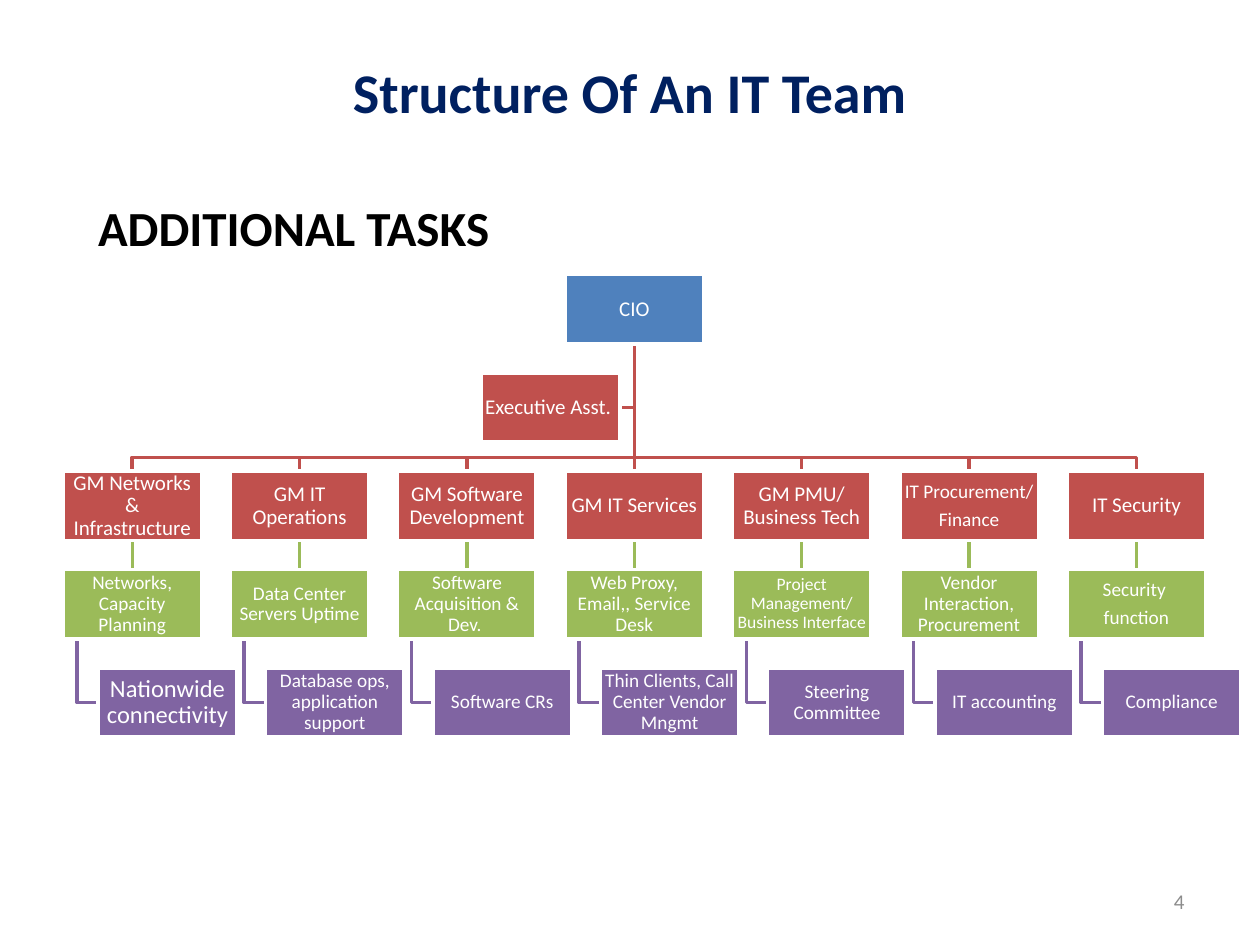
from lxml import etree
from pptx import Presentation
from pptx.dml.color import RGBColor
from pptx.enum.shapes import MSO_CONNECTOR as Link, MSO_SHAPE as Kind
from pptx.enum.text import MSO_ANCHOR as Anchor, PP_ALIGN as Align
from pptx.oxml.ns import qn
from pptx.util import Inches, Pt

BLUE, RED, GREEN, PURPLE = "4F81BD", "C0504D", "9BBB59", "8064A2"
WHITE = "FFFFFF"

# Grid of the chart
WIDE, HIGH = 1.1, 0.55
LEFT, STEP = 0.5, (8.47 - 0.5) / 6
TOP, ROW = 2.18, 0.78
INDENT, STEM = 0.28, 0.11
BUS = 3.63

# Each unit: manager, duty, extra task; each with its text size
TEAMS = [
    (("GM Networks & Infrastructure", 12), ("Networks, Capacity Planning", 11),
     ("Nationwide connectivity", 14)),
    (("GM IT Operations", 12), ("Data Center Servers Uptime", 11),
     ("Database ops, application support", 11)),
    (("GM Software Development", 12), ("Software Acquisition & Dev. ", 11),
     ("Software CRs", 11)),
    (("GM IT Services", 12), ("Web Proxy, Email,, Service Desk", 11),
     ("Thin Clients, Call Center Vendor Mngmt", 11)),
    (("GM PMU/ Business Tech", 12), ("Project Management/ Business Interface", 10),
     ("Steering Committee", 11)),
    (("IT Procurement/\nFinance", 11), ("Vendor Interaction, Procurement", 11),
     ("IT accounting", 11)),
    (("IT Security", 12), ("Security \nfunction", 11), ("Compliance", 11)),
]


def color(code):
    return RGBColor.from_string(code)


class Deck:
    font = "Calibri"
    weight = Pt(2)

    def __init__(self):
        self.prs = Presentation()
        self.prs.slide_width, self.prs.slide_height = Inches(10), Inches(7.5)
        self.slide = self.prs.slides.add_slide(self.prs.slide_layouts[5])
        self.shapes = self.slide.shapes

    def words(self, frame, text, size, code, align, bold=False, **form):
        frame.text = text
        for para in frame.paragraphs:
            para.alignment = align
            for key, value in form.items():
                setattr(para, key, value)
            look = {"name": self.font, "size": Pt(size), "bold": bold}
            for run in para.runs:
                for key, value in look.items():
                    setattr(run.font, key, value)
                run.font.color.rgb = color(code)

    def title(self, text, x, y, w, h):
        shape = self.shapes.title
        place = {"left": x, "top": y, "width": w, "height": h}
        for key, value in place.items():
            setattr(shape, key, Inches(value))
        shape.text_frame.vertical_anchor = Anchor.MIDDLE
        self.words(shape.text_frame, text, 32, "002060", Align.CENTER, True)

    def label(self, text, x, y, w, h, size, code, align, bold=False, wrap=True):
        frame = self.shapes.add_textbox(
            Inches(x), Inches(y), Inches(w), Inches(h)).text_frame
        frame.word_wrap = wrap
        frame.vertical_anchor = Anchor.MIDDLE
        self.words(frame, text, size, code, align, bold)

    def box(self, text, size, x, y, fill):
        shape = self.shapes.add_shape(
            Kind.RECTANGLE, Inches(x), Inches(y), Inches(WIDE), Inches(HIGH))
        shape.shadow.inherit = False
        shape.fill.solid()
        shape.fill.fore_color.rgb = color(fill)
        self.stroke(shape.line, WHITE)
        frame = shape.text_frame
        frame.word_wrap = True
        frame.vertical_anchor = Anchor.MIDDLE
        for side in ("left", "top", "right", "bottom"):
            setattr(frame, f"margin_{side}", Inches(0.01))
        self.words(frame, text, size, WHITE, Align.CENTER,
                   line_spacing=0.9, space_after=Pt(round(size * 0.35)))
        return shape

    def stroke(self, line, code):
        line.color.rgb = color(code)
        line.width = self.weight

    def bend(self, points, code):
        first, *rest = [(Inches(x), Inches(y)) for x, y in points]
        maker = self.shapes.build_freeform(*first)
        maker.add_line_segments(rest, close=False)
        shape = maker.convert_to_shape()
        shape.shadow.inherit = False
        shape.fill.background()
        self.stroke(shape.line, code)
        self.lower(shape)

    def join(self, upper, under, code):
        link = self.shapes.add_connector(Link.STRAIGHT, 0, 0, 0, 0)
        link.begin_connect(upper, 2)
        link.end_connect(under, 0)
        self.stroke(link.line, code)
        etree.SubElement(link._element.spPr, qn("a:effectLst"))
        self.lower(link)

    def lower(self, shape):
        """Send a line behind the boxes."""
        self.shapes._spTree.insert(2, shape._element)


def main():
    deck = Deck()

    # Headings and page number
    deck.title("Structure Of An IT Team", 0.5, 0.23, 9, 0.98)
    deck.label("ADDITIONAL TASKS", 0.68, 1.52, 3.52, 0.57, 28, "000000",
               Align.LEFT, bold=True, wrap=False)
    deck.label("4", 7.17, 6.95, 2.33, 0.4, 12, "8C8C8C", Align.RIGHT)

    # Head of the team and assistant
    mid = len(TEAMS) // 2
    head = LEFT + mid * STEP
    hub, foot = head + WIDE / 2, TOP + HIGH
    chief = deck.box("CIO", 12, head, TOP, BLUE)
    aide = 3.82
    level = TOP + ROW + HIGH / 2
    deck.box("Executive Asst. ", 12, aide, TOP + ROW, RED)
    deck.bend([(hub, foot), (hub, level), (aide + WIDE, level)], RED)

    # One column per unit
    tops = [TOP + ROW * n for n in (2, 3, 4)]
    for col, (lead, duty, task) in enumerate(TEAMS):
        x = LEFT + col * STEP
        boss = deck.box(*lead, x, tops[0], RED)
        work = deck.box(*duty, x, tops[1], GREEN)
        deck.box(*task, x + INDENT, tops[2], PURPLE)

        if col == mid:
            deck.join(chief, boss, RED)
        else:
            center = x + WIDE / 2
            deck.bend([(hub, foot), (hub, BUS), (center, BUS),
                       (center, tops[0])], RED)
        deck.join(boss, work, GREEN)
        stem, half = x + STEM, tops[2] + HIGH / 2
        deck.bend([(stem, tops[1] + HIGH), (stem, half),
                   (x + INDENT, half)], PURPLE)

    deck.prs.save("out.pptx")


if __name__ == "__main__":
    main()
